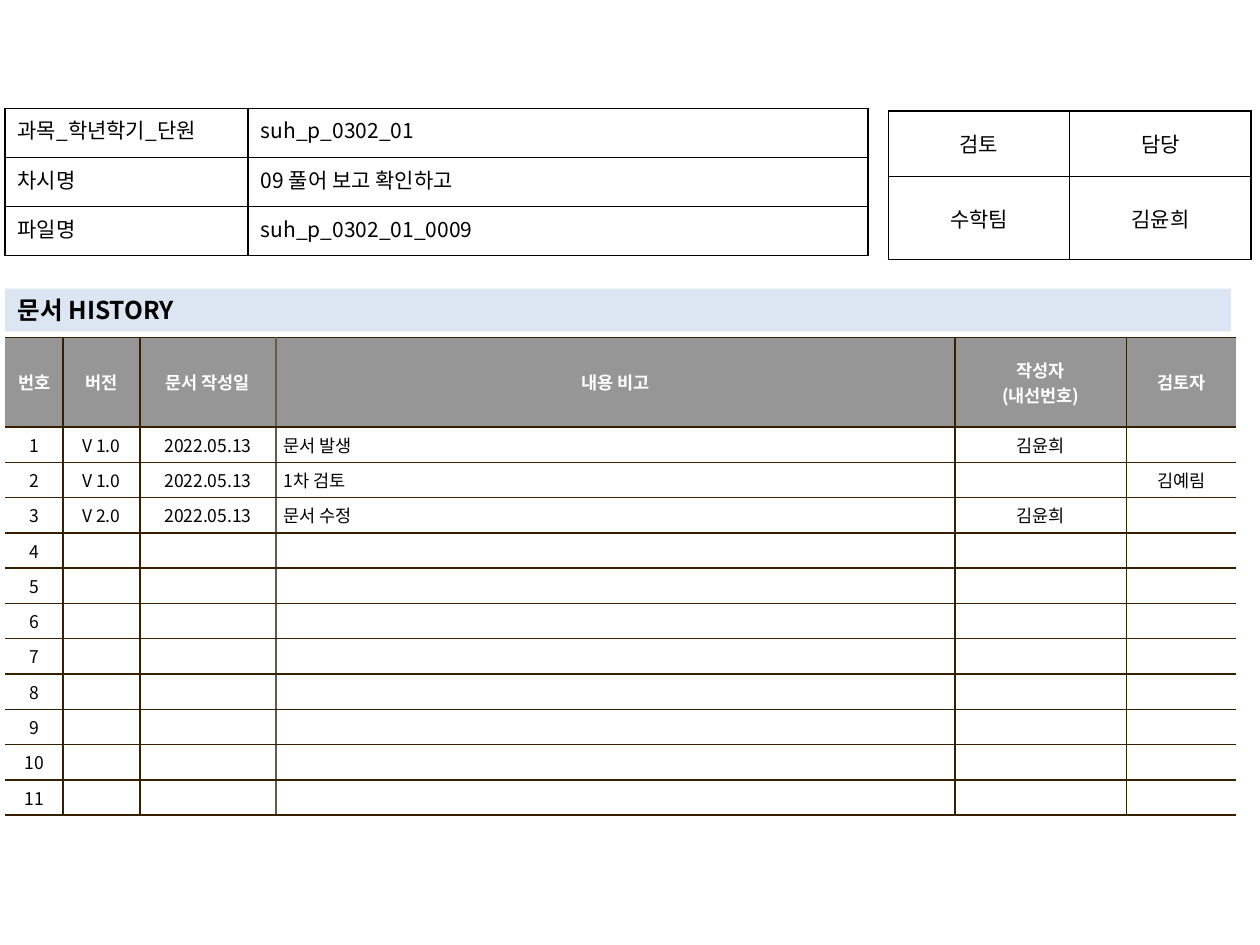
from dataclasses import dataclass

from lxml import etree
from pptx import Presentation
from pptx.dml.color import RGBColor
from pptx.enum.text import MSO_ANCHOR, MSO_AUTO_SIZE, PP_ALIGN
from pptx.oxml.ns import qn
from pptx.util import Inches, Pt

LEFT, MID, JUST = PP_ALIGN.LEFT, PP_ALIGN.CENTER, PP_ALIGN.JUSTIFY
TOP, CENTER = MSO_ANCHOR.TOP, MSO_ANCHOR.MIDDLE
FIXED = MSO_AUTO_SIZE.NONE


@dataclass
class Theme:
    font: str = "Noto Sans CJK KR"
    ink: str = "000000"
    paper: str = "FFFFFF"
    band: str = "DCE6F2"
    head: str = "969696"
    rule: str = "362000"
    soft: str = "645B4C"
    small: int = 10
    body: int = 12
    title: int = 14


class Deck:
    def __init__(self, theme):
        self.theme = theme
        self.show = Presentation()
        self.show.slide_width = Inches(10)
        self.show.slide_height = Inches(7.5)
        self.slide = self.show.slides.add_slide(self.show.slide_layouts[5])

    def text(self, frame, words, size, color, align, bold=False):
        for i, line in enumerate(words.split("\n")):
            para = frame.paragraphs[0] if i == 0 else frame.add_paragraph()
            para.alignment = align
            if not line:
                end = etree.SubElement(para._p, qn("a:endParaRPr"))
                end.set("sz", str(size * 100))
                continue
            run = para.add_run()
            run.text = line
            font = run.font
            font.size, font.bold, font.name = Pt(size), bold, self.theme.font
            font.color.rgb = RGBColor.from_string(color)
            asian = etree.SubElement(font._element, qn("a:ea"))
            asian.set("typeface", self.theme.font)

    def title(self, words, left, top, width, height):
        box = self.slide.shapes.title
        box.left, box.top = Inches(left), Inches(top)
        box.width, box.height = Inches(width), Inches(height)
        box.fill.solid()
        box.fill.fore_color.rgb = RGBColor.from_string(self.theme.band)
        frame = box.text_frame
        frame.auto_size, frame.vertical_anchor = FIXED, CENTER
        self.text(frame, words, self.theme.title, self.theme.ink, LEFT, True)

    def table(self, left, top, cols, rows):
        """Add a plain grid with the given column widths and row heights."""
        grid = self.slide.shapes.add_table(
            len(rows), len(cols), Inches(left), Inches(top),
            Inches(sum(cols)), Inches(sum(rows))).table
        grid.first_row = grid.horz_banding = False
        for col, width in zip(grid.columns, cols):
            col.width = Inches(width)
        for row, height in zip(grid.rows, rows):
            row.height = Inches(height)
        return grid

    def cell(self, cell, words, size, color, align, edges, anchor=CENTER,
             fill=None, bold=False, inset=(0.1, 0.05)):
        """Fill one cell; edges maps L, R, T and B to line colours."""
        cell.margin_left = cell.margin_right = Inches(inset[0])
        cell.margin_top = cell.margin_bottom = Inches(inset[1])
        cell.vertical_anchor = anchor
        props = cell._tc.get_or_add_tcPr()
        for side, shade in edges.items():
            line = etree.SubElement(props, qn(f"a:ln{side}"), w=str(Pt(1)))
            if shade:
                solid = etree.SubElement(line, qn("a:solidFill"))
                etree.SubElement(solid, qn("a:srgbClr"), val=shade)
            else:
                etree.SubElement(line, qn("a:noFill"))
        if fill:
            cell.fill.solid()
            cell.fill.fore_color.rgb = RGBColor.from_string(fill)
        else:
            cell.fill.background()
        self.text(cell.text_frame, words, size, color, align, bold)

    def form(self, left, top, cols, rows, data, aligns, anchor):
        """Add a fully boxed table."""
        grid = self.table(left, top, cols, rows)
        edges = dict.fromkeys("LRTB", self.theme.ink)
        for r, line in enumerate(data):
            for c, words in enumerate(line):
                self.cell(grid.cell(r, c), words, self.theme.body,
                          self.theme.ink, aligns[c], edges, anchor)

    def log(self, left, top, cols, rows, data, note):
        """Add a headed table with open sides; note is its text column."""
        t = self.theme
        grid = self.table(left, top, cols, rows)
        rules = [t.rule] * (len(cols) - 1)
        rules[note - 1] = t.soft
        rules = [None, *rules, None]
        for r, line in enumerate(data):
            head = r == 0
            for c, words in enumerate(line):
                edges = {"L": rules[c], "R": rules[c + 1],
                         "T": t.rule, "B": t.rule}
                self.cell(grid.cell(r, c), words, t.small,
                          t.paper if head else t.ink,
                          LEFT if c == note and not head else MID, edges,
                          fill=t.head if head else t.paper,
                          bold=head, inset=(0.06, 0.04))


def main():
    deck = Deck(Theme())
    edge = 0.04

    heads = ["번호", "버전", "문서 작성일", "내용 비고",
             "작성자\n(내선번호)", "검토자"]
    done = [
        ["V 1.0", "2022.05.13", "문서 발생", "김윤희", ""],
        ["V 1.0", "2022.05.13", "1차 검토", "", "김예림"],
        ["V 2.0", "2022.05.13", "문서 수정", "김윤희", ""],
    ]
    count = 11
    blank = [[""] * 5] * (count - len(done))
    lines = [[str(n), *line] for n, line in enumerate(done + blank, 1)]
    deck.log(edge, 2.68, [0.46, 0.61, 1.08, 5.39, 1.36, 0.87],
             [0.71] + [0.25] * count, [heads] + lines, note=3)

    deck.form(7.05, 0.88, [1.44] * 2, [0.52, 0.66],
              [["검토", "담당"], ["수학팀", "김윤희"]], [MID, MID], CENTER)

    deck.title("문서 HISTORY", edge, 2.29, 9.73, 0.34)

    deck.form(edge, 0.86, [1.93, 4.92], [0.39] * 3,
              [["과목_학년학기_단원", "suh_p_0302_01"],
               ["차시명", "09 풀어 보고 확인하고"],
               ["파일명", "suh_p_0302_01_0009"]], [JUST, LEFT], TOP)

    deck.show.save("out.pptx")


if __name__ == "__main__":
    main()
